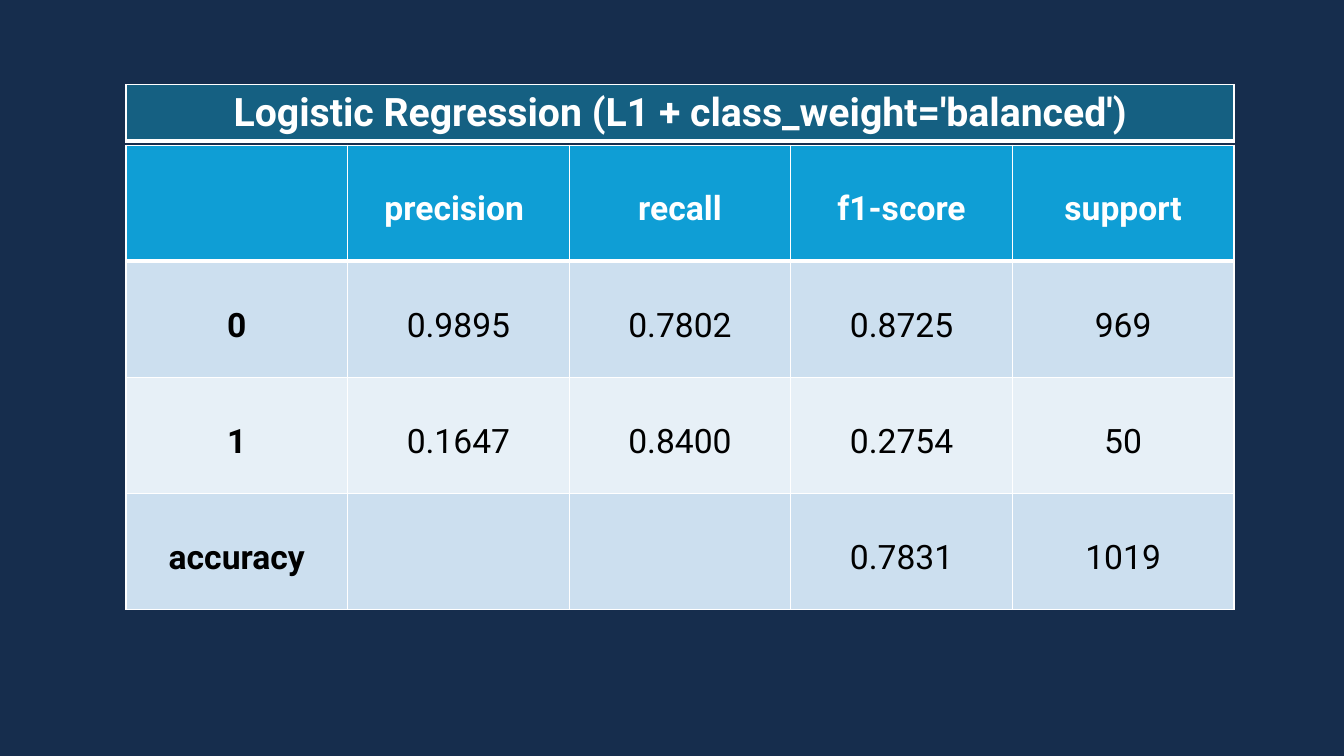
from dataclasses import dataclass

from lxml import etree
from pptx import Presentation
from pptx import util as u
from pptx.dml.color import RGBColor
from pptx.enum import text
from pptx.oxml import ns


@dataclass(frozen=True)
class Theme:
    font: str = "Roboto"
    background: str = "162D4D"
    title_fill: str = "156082"
    header_fill: str = "0F9ED5"
    bands: tuple[str, str] = ("CCDFEF", "E7F0F7")
    light: str = "FFFFFF"
    dark: str = "000000"
    title_size: int = 28
    body_size: int = 24
    thin_line: float = 0.96
    thick_line: float = 3


@dataclass(frozen=True)
class CellStyle:
    fill: str
    color: str
    size: int
    bold: bool
    spacing: float
    top: float
    bottom: float


@dataclass(frozen=True)
class Grid:
    top: float
    height: float
    rows: list[list[str]]


THEME = Theme()
LEFT, WIDTH = 1.25, 10.99

TITLE = Grid(0.84, 0.56, [["Logistic Regression (L1 + class_weight='balanced')"]])
REPORT = Grid(1.44, 4.61, [
    ["", "precision ", "recall", "f1-score", "support"],
    ["0", "0.9895", "0.7802", "0.8725", "969"],
    ["1", "0.1647", "0.8400", "0.2754", "50"],
    ["accuracy", "", "", "0.7831", "1019"],
])


def title_style(row: int, column: int) -> CellStyle:
    return CellStyle(THEME.title_fill, THEME.light, THEME.title_size, True, 1,
                     THEME.thin_line, THEME.thick_line)


def report_style(row: int, column: int) -> CellStyle:
    header = row == 0
    return CellStyle(
        fill=THEME.header_fill if header else THEME.bands[(row - 1) % 2],
        color=THEME.light if header else THEME.dark,
        size=THEME.body_size,
        bold=header or column == 0,
        spacing=2,
        top=THEME.thick_line if row == 1 else THEME.thin_line,
        bottom=THEME.thick_line if header else THEME.thin_line,
    )


def set_attributes(target, values: dict) -> None:
    for name, value in values.items():
        setattr(target, name, value)


def add_borders(cell, style: CellStyle) -> None:
    properties = cell._tc.get_or_add_tcPr()
    widths = {"L": THEME.thin_line, "R": THEME.thin_line, "T": style.top, "B": style.bottom}
    for side, width in widths.items():
        line = etree.SubElement(properties, ns.qn(f"a:ln{side}"), w=str(u.Pt(width)))
        fill = etree.SubElement(line, ns.qn("a:solidFill"))
        etree.SubElement(fill, ns.qn("a:srgbClr"), val=THEME.light)


def fill_cell(cell, content: str, style: CellStyle) -> None:
    add_borders(cell, style)
    cell.fill.solid()
    cell.fill.fore_color.rgb = RGBColor.from_string(style.fill)
    if not content:
        return
    paragraph = cell.text_frame.paragraphs[0]
    set_attributes(paragraph, {"alignment": text.PP_ALIGN.CENTER, "line_spacing": style.spacing})
    run = paragraph.add_run()
    run.text = content
    set_attributes(run.font, {"name": THEME.font, "size": u.Pt(style.size), "bold": style.bold})
    run.font.color.rgb = RGBColor.from_string(style.color)


def add_grid(slide, grid: Grid, style_for) -> None:
    row_count, column_count = len(grid.rows), len(grid.rows[0])
    table = slide.shapes.add_table(
        row_count, column_count, u.Inches(LEFT), u.Inches(grid.top),
        u.Inches(WIDTH), u.Inches(grid.height)).table
    set_attributes(table, {"first_row": row_count > 1, "horz_banding": False})
    for row, contents in enumerate(grid.rows):
        for column, content in enumerate(contents):
            fill_cell(table.cell(row, column), content, style_for(row, column))


def main() -> None:
    presentation = Presentation()
    set_attributes(presentation, {"slide_width": u.Inches(13.33), "slide_height": u.Inches(7.5)})
    slide = presentation.slides.add_slide(presentation.slide_layouts[6])

    # Background
    slide.background.fill.solid()
    slide.background.fill.fore_color.rgb = RGBColor.from_string(THEME.background)

    # Scores, with the title bar above them
    add_grid(slide, REPORT, report_style)
    add_grid(slide, TITLE, title_style)

    presentation.save("out.pptx")


if __name__ == "__main__":
    main()
